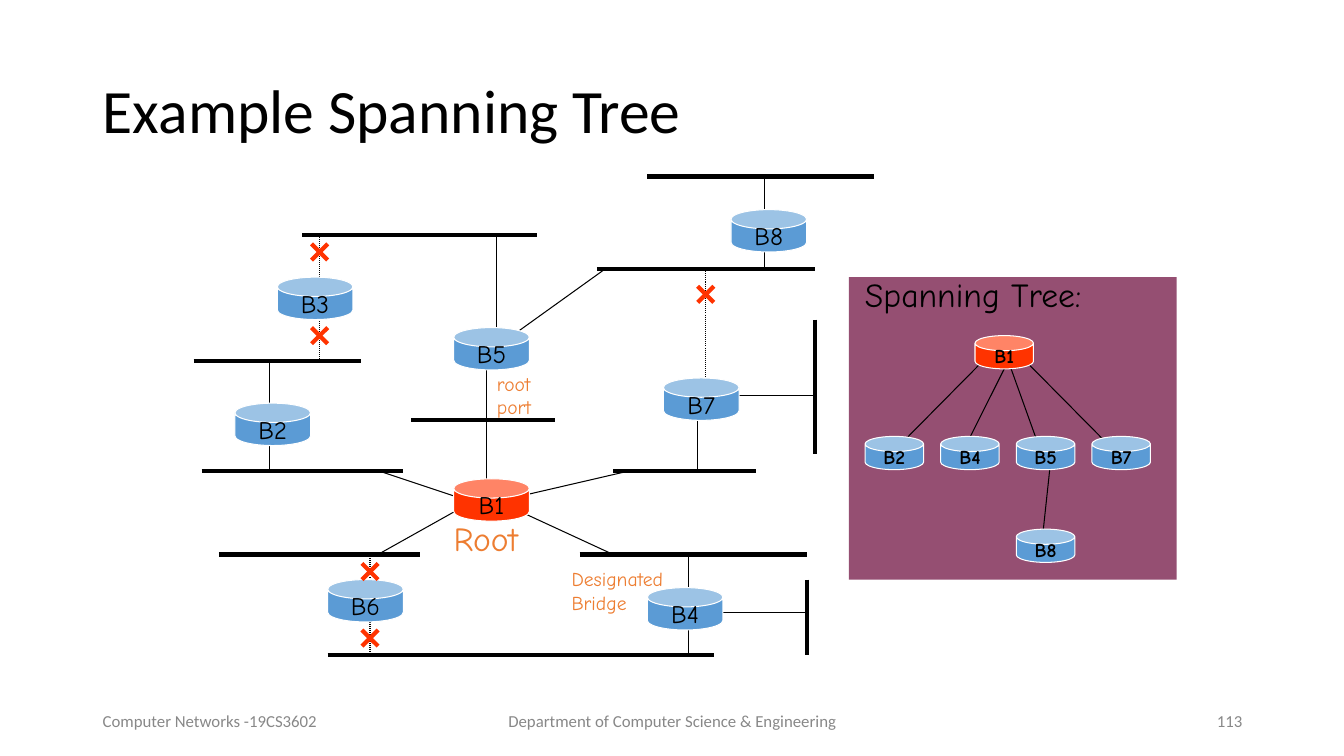
from lxml import etree
from pptx import Presentation
from pptx.dml.color import RGBColor
from pptx.enum.dml import MSO_LINE_DASH_STYLE as Dash
from pptx.enum.shapes import MSO_CONNECTOR as Connector, MSO_SHAPE as Shape
from pptx.enum.text import MSO_ANCHOR as Anchor, PP_ALIGN as Align
from pptx.oxml.ns import qn
from pptx.util import Inches, Pt

BLACK, WHITE, RED, BLUE = "000000", "FFFFFF", "FF3300", "5B9BD5"
ORANGE, PLUM, GRAY = "ED7D31", "954F72", "888888"
BODY, HAND = "Calibri", "Comic Neue"

SEGMENTS = [
    (3, 2.33, 5.33, 2.33), (5.92, 2.67, 8.08, 2.67), (8.08, 3.17, 8.08, 4.5),
    (5.75, 5.5, 8, 5.5), (8, 5.75, 8, 6.5), (3.25, 6.5, 7.08, 6.5),
    (2.17, 5.5, 4.17, 5.5), (1.92, 3.58, 3.58, 3.58), (2, 4.67, 4, 4.67),
    (4.08, 4.17, 5.5, 4.17), (6.08, 4.67, 7.5, 4.67), (6.42, 1.75, 8.67, 1.75),
]
BLOCKED_LINKS = [
    (3.17, 3, 3.17, 3.58), (3.17, 2.75, 3.17, 2.33), (7, 2.67, 7, 3.75),
    (3.67, 6.17, 3.67, 6.5), (3.67, 5.75, 3.67, 5.5),
]
ACTIVE_LINKS = [
    (2.67, 4.67, 2.67, 4.25), (2.67, 4, 2.67, 3.58), (4.92, 3.25, 4.92, 2.33),
    (5.08, 3.33, 6, 2.67), (4.83, 3.67, 4.83, 4.17), (4.83, 4.17, 4.83, 4.75),
    (3.75, 4.67, 4.5, 4.92), (3.75, 5.5, 4.5, 5.08), (6.83, 5.83, 6.83, 5.5),
    (6.83, 6.25, 6.83, 6.5), (7.08, 6.08, 8, 6.08), (6.92, 4.17, 6.92, 4.67),
    (5.17, 4.92, 6.25, 4.67), (7.33, 3.92, 8.08, 3.92), (5.17, 5.08, 6.08, 5.5),
    (7.58, 1.75, 7.58, 2.08), (7.58, 2.5, 7.58, 2.67),
]
TREE_LINKS = [
    (9.75, 3.58, 8.92, 4.42), (10, 3.58, 9.58, 4.42), (10, 3.58, 10.33, 4.5),
    (10.17, 3.58, 11.08, 4.5), (10.42, 4.58, 10.33, 5.42),
]
BRIDGES = {
    "B3": (2.75, 2.75), "B5": (4.5, 3.25), "B7": (6.58, 3.75), "B2": (2.33, 4),
    "B1": (4.5, 4.75), "B6": (3.25, 5.75), "B4": (6.42, 5.83), "B8": (7.25, 2.08),
}
TREE_BRIDGES = {name: (8.58 + 0.75 * i, 4.33)
                for i, name in enumerate(["B2", "B4", "B5", "B7"])}
TREE_BRIDGES |= {"B8": (10.08, 5.25), "B1": (9.67, 3.33)}
CROSSES = [(3.17, 2.5), (3.17, 3.33), (3.67, 5.67), (3.67, 6.33), (7, 2.92)]


def color(value):
    return RGBColor.from_string(value)


class SlideBuilder:
    """Draws styled elements on the current slide."""

    def __init__(self, slide):
        self.slide = slide

    def set_text(self, shape, text, size, font=HAND, fill=BLACK, align=Align.LEFT,
                 anchor=Anchor.TOP, bold=False):
        frame = shape.text_frame
        frame.text = text
        frame.word_wrap = True
        frame.vertical_anchor = anchor
        for paragraph in frame.paragraphs:
            paragraph.alignment = align
            for run in paragraph.runs:
                run.font.size = Pt(size)
                run.font.name = font
                run.font.bold = bold
                run.font.color.rgb = color(fill)

    def title(self, text, *box):
        title = self.slide.shapes.title
        title.left, title.top, title.width, title.height = map(Inches, box)
        self.set_text(title, text, 44, BODY, anchor=Anchor.MIDDLE)
        title.text_frame.paragraphs[0].line_spacing = 0.9

    def label(self, text, box, size, **style):
        shape = self.slide.shapes.add_textbox(*map(Inches, box))
        self.set_text(shape, text, size, **style)

    def shape(self, kind, box, fill, outline=None):
        shape = self.slide.shapes.add_shape(kind, *map(Inches, box))
        shape.shadow.inherit = False
        shape.fill.solid()
        shape.fill.fore_color.rgb = color(fill)
        if outline:
            shape.line.color.rgb = color(outline)
            shape.line.width = Pt(0.75)
        else:
            shape.line.fill.background()
        return shape

    def line(self, ends, width=0.75, stroke=BLACK, dash=None, shapes=None):
        shapes = shapes or self.slide.shapes
        line = shapes.add_connector(Connector.STRAIGHT, *map(Inches, ends))
        line.line.color.rgb = color(stroke)
        line.line.width = Pt(width)
        if dash:
            line.line.dash_style = dash
        etree.SubElement(line._element.spPr, qn("a:effectLst"))

    def cross(self, x, y, reach=0.08):
        group = self.slide.shapes.add_group_shape()
        for rise in (reach, -reach):
            ends = (x - reach, y + rise, x + reach, y - rise)
            self.line(ends, 3, RED, shapes=group.shapes)

    def bridge(self, name, position, size, points, bold=False):
        fill = RED if name == "B1" else BLUE
        can = self.shape(Shape.CAN, (*position, *size), fill, WHITE)
        can.adjustments[0] = 0.455
        self.set_text(can, name, points, align=Align.CENTER,
                      anchor=Anchor.MIDDLE, bold=bold)


def main():
    presentation = Presentation()
    presentation.slide_width = Inches(13.33)
    presentation.slide_height = Inches(7.5)
    slide = presentation.slides.add_slide(presentation.slide_layouts[5])
    builder = SlideBuilder(slide)

    builder.title("Example Spanning Tree", 0.92, 0.4, 11.5, 1.45)
    builder.shape(Shape.RECTANGLE, (8.42, 2.75, 3.25, 3), PLUM)
    for ends in SEGMENTS:
        builder.line(ends, 3)
    for ends in BLOCKED_LINKS:
        builder.line(ends, dash=Dash.ROUND_DOT)
    for ends in ACTIVE_LINKS + TREE_LINKS:
        builder.line(ends)
    for name, position in BRIDGES.items():
        builder.bridge(name, position, (0.75, 0.42), 18)
    for name, position in TREE_BRIDGES.items():
        builder.bridge(name, position, (0.58, 0.33), 14, bold=True)
    for center in CROSSES:
        builder.cross(*center)

    builder.label("Root", (4.4, 5.09, 0.92, 0.5), 24, fill=ORANGE)
    builder.label("Spanning Tree:", (8.48, 2.67, 2.53, 0.5), 24)
    builder.label("Designated\nBridge", (5.57, 5.58, 1.28, 0.57), 14, fill=ORANGE)
    builder.label("root\nport", (4.83, 3.64, 0.71, 0.57), 14, fill=ORANGE)
    for text, left, width, align in [
        ("Computer Networks -19CS3602", 0.92, 3, Align.LEFT),
        ("Department of Computer Science & Engineering", 4.42, 4.5, Align.CENTER),
        ("113", 9.42, 3, Align.RIGHT),
    ]:
        builder.label(text, (left, 6.95, width, 0.4), 12, font=BODY, fill=GRAY,
                      align=align, anchor=Anchor.MIDDLE)

    presentation.save("out.pptx")


if __name__ == "__main__":
    main()
